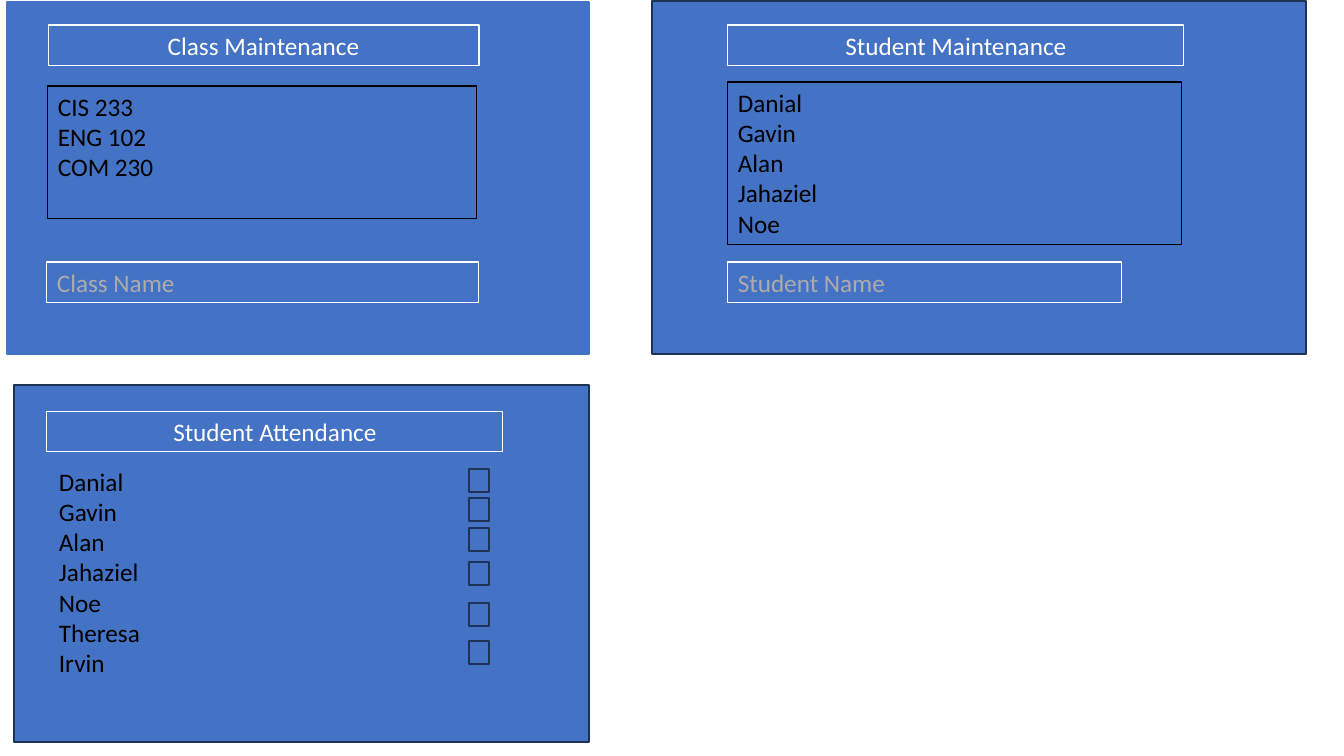
from pptx import Presentation
from pptx.dml.color import RGBColor
from pptx.enum.shapes import MSO_SHAPE
from pptx.enum.text import MSO_ANCHOR, PP_ALIGN
from pptx.util import Emu, Pt

RECT = MSO_SHAPE.RECTANGLE
TOP = MSO_ANCHOR.TOP
LEFT, CENTER = PP_ALIGN.LEFT, PP_ALIGN.CENTER

EMU_PER_PX = 914400 / 100.8
SLIDE_W, SLIDE_H = 1344, 756
COLORS = {
    "blue": "4472C4",
    "navy": "1E3256",
    "white": "FFFFFF",
    "black": "000000",
    "gray": "AFABAB",
}

CLASSES = ["CIS 233", "ENG 102", "COM 230"]
STUDENTS = ["Danial", "Gavin", "Alan", "Jahaziel", "Noe"]
ROLL = STUDENTS + ["Theresa", "Irvin"]

# Each box is (left, top, width, height) in px.
# Fields are (box, lines, text color, border color, alignment).
PANELS = [
    {
        "box": (7, 2, 582, 352), "border": "blue",
        "fields": [
            ((48, 25, 431, 41), ["Class Maintenance"], "white", "white", CENTER),
            ((48, 86, 429, 133), CLASSES, "black", "black", LEFT),
            ((47, 262, 432, 41), ["Class Name"], "gray", "white", LEFT),
        ],
    },
    {
        "box": (652, 1, 654, 353), "border": "navy",
        "fields": [
            ((728, 25, 456, 41), ["Student Maintenance"], "white", "white", CENTER),
            ((728, 82, 454, 163), STUDENTS, "black", "black", LEFT),
            ((728, 262, 394, 41), ["Student Name"], "gray", "white", LEFT),
        ],
    },
    {
        "box": (14, 385, 575, 357), "border": "navy",
        "fields": [
            ((47, 411, 456, 41), ["Student Attendance"], "white", "white", CENTER),
            ((49, 461, 448, 224), ROLL, "black", None, LEFT),
        ],
    },
]
CHECKBOX_LEFT, CHECKBOX_W, CHECKBOX_H = 469, 20, 23
CHECKBOX_TOPS = [469, 498, 528, 562, 603, 641]


def px(n):
    return Emu(round(n * EMU_PER_PX))


def rgb(name):
    return RGBColor.from_string(COLORS[name])


def add_rect(slide, box, fill, border, width):
    sp = slide.shapes.add_shape(RECT, *map(px, box))
    sp.shadow.inherit = False
    if fill:
        sp.fill.solid()
        sp.fill.fore_color.rgb = rgb(fill)
    else:
        sp.fill.background()
    sp.line.color.rgb = rgb(border)
    sp.line.width = Pt(width)
    return sp


def add_field(slide, box, lines, color, border, align):
    if border:
        sp = add_rect(slide, box, None, border, 0.75)
    else:
        sp = slide.shapes.add_textbox(*map(px, box))
    tf = sp.text_frame
    tf.word_wrap = True
    tf.vertical_anchor = TOP
    tf.text = "\n".join(lines)
    for p in tf.paragraphs:
        p.alignment = align
        p.font.name = "Calibri"
        p.font.size = Pt(18)
        p.font.color.rgb = rgb(color)


def main():
    prs = Presentation()
    prs.slide_width, prs.slide_height = px(SLIDE_W), px(SLIDE_H)
    slide = prs.slides.add_slide(prs.slide_layouts[6])
    for panel in PANELS:
        add_rect(slide, panel["box"], "blue", panel["border"], 1)
        for field in panel["fields"]:
            add_field(slide, *field)
    for top in CHECKBOX_TOPS:
        box = (CHECKBOX_LEFT, top, CHECKBOX_W, CHECKBOX_H)
        add_rect(slide, box, "blue", "navy", 1)
    prs.save("out.pptx")


if __name__ == "__main__":
    main()
